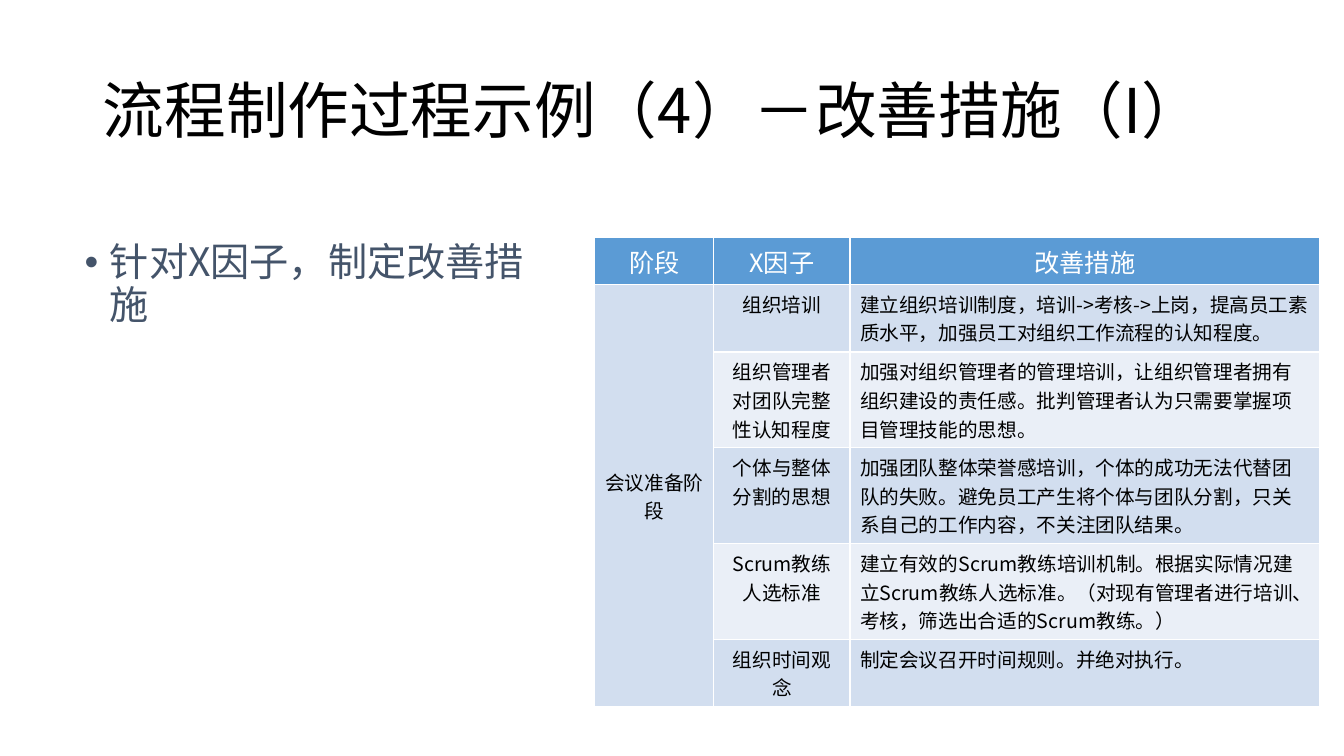
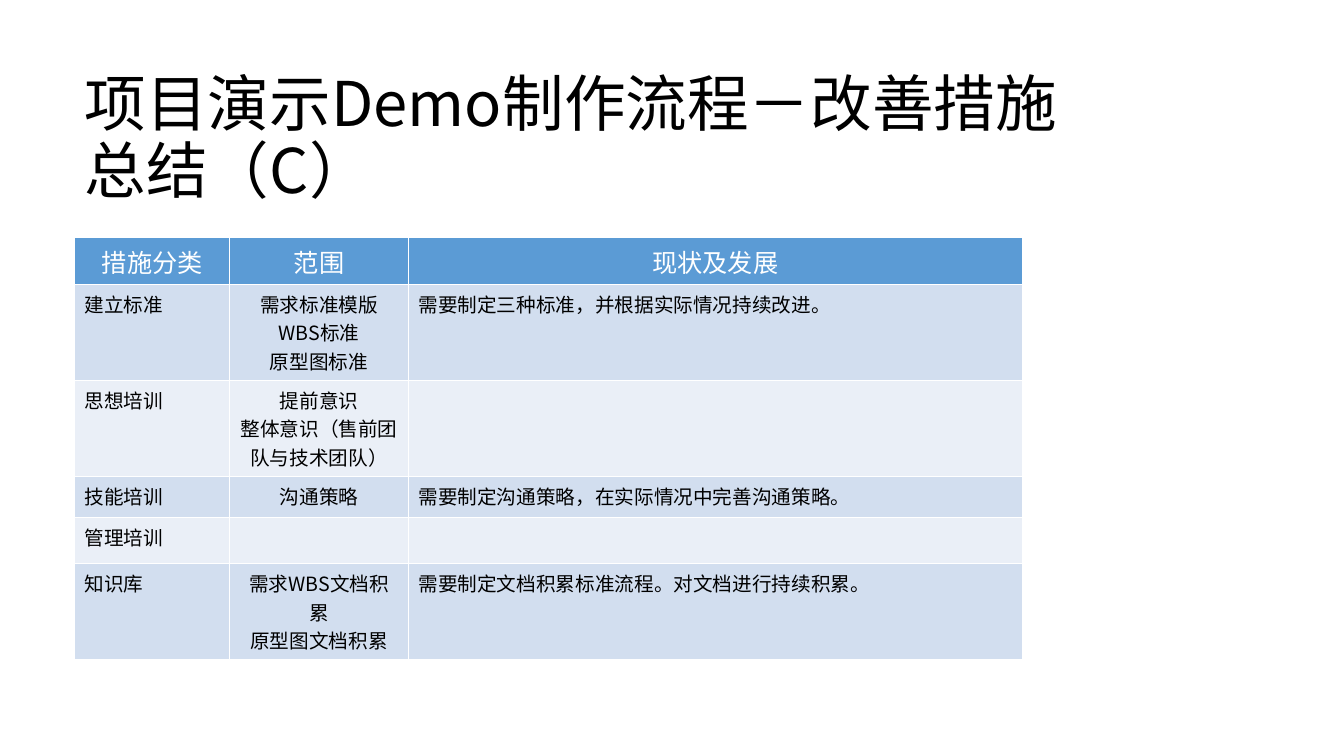
from lxml.etree import SubElement
from pptx import Presentation
from pptx.dml.color import RGBColor
from pptx.enum.text import MSO_ANCHOR, MSO_AUTO_SIZE, PP_ALIGN
from pptx.oxml.ns import qn
from pptx.util import Emu, Pt

FONT = "Noto Sans CJK SC"
BLACK, WHITE, SLATE = "000000", "FFFFFF", "44546A"
HEADER_FILL = "5B9BD5"
BAND_FILLS = ("D2DEEF", "EAEFF7")
LEFT, CENTER = PP_ALIGN.LEFT, PP_ALIGN.CENTER

MEASURES = [
    ["阶段", "X因子", "改善措施"],
    ["会议准备阶段", "组织培训",
     "建立组织培训制度，培训->考核->上岗，提高员工素质水平，加强员工对组织工作流程的认知程度。"],
    ["", "组织管理者对团队完整性认知程度",
     "加强对组织管理者的管理培训，让组织管理者拥有组织建设的责任感。批判管理者认为只需要掌握项目管理技能的思想。"],
    ["", "个体与整体分割的思想",
     "加强团队整体荣誉感培训，个体的成功无法代替团队的失败。避免员工产生将个体与团队分割，只关系自己的工作内容，不关注团队结果。"],
    ["", "Scrum教练人选标准",
     "建立有效的Scrum教练培训机制。根据实际情况建立Scrum教练人选标准。（对现有管理者进行培训、考核，筛选出合适的Scrum教练。）"],
    ["", "组织时间观念", "制定会议召开时间规则。并绝对执行。"],
]
SUMMARY = [
    ["措施分类", "范围", "现状及发展"],
    ["建立标准", "需求标准模版\nWBS标准\n原型图标准", "需要制定三种标准，并根据实际情况持续改进。"],
    ["思想培训", "提前意识\n整体意识（售前团队与技术团队）", ""],
    ["技能培训", "沟通策略", "需要制定沟通策略，在实际情况中完善沟通策略。"],
    ["管理培训", "", ""],
    ["知识库", "需求WBS文档积累\n原型图文档积累", "需要制定文档积累标准流程。对文档进行持续积累。"],
]


def px(count):
    """Convert px to EMU, at 100 px to the inch."""
    return Emu(count * 9144)


def color(hex_string):
    return RGBColor.from_string(hex_string)


def format_paragraph(paragraph, size, hex_string, alignment=LEFT):
    paragraph.alignment = alignment
    font = paragraph.font
    font.size, font.bold, font.name = Pt(size), False, FONT
    font.color.rgb = color(hex_string)
    properties = paragraph._p.pPr.find(qn("a:defRPr"))
    SubElement(properties, qn("a:ea")).set("typeface", FONT)


def fill_placeholder(shape, box, text, size, hex_string, anchor):
    shape.left, shape.top, shape.width, shape.height = map(px, box)
    frame = shape.text_frame
    frame.text = text
    frame.word_wrap = True
    frame.auto_size = MSO_AUTO_SIZE.NONE
    frame.vertical_anchor = anchor
    paragraph = frame.paragraphs[0]
    paragraph.line_spacing = 0.9
    paragraph.space_before = Pt(0)
    format_paragraph(paragraph, size, hex_string)
    return paragraph


def add_title(slide, box, text):
    fill_placeholder(slide.shapes.title, box, text, 44, BLACK, MSO_ANCHOR.MIDDLE)


def add_bullet(slide, box, text):
    paragraph = fill_placeholder(slide.placeholders[1], box, text, 28, SLATE, MSO_ANCHOR.TOP)
    paragraph._p.pPr.set("marL", str(px(25)))
    paragraph._p.pPr.set("indent", str(px(-25)))


def add_banded_table(slide, left, top, widths, heights, rows, alignments):
    """Add a table with a header row; alignments apply to the body columns."""
    table = slide.shapes.add_table(
        len(rows), len(widths), px(left), px(top), px(sum(widths)), px(sum(heights))).table
    for column, width in zip(table.columns, widths):
        column.width = px(width)
    for row, height in zip(table.rows, heights):
        row.height = px(height)
    for row_index, texts in enumerate(rows):
        is_header = row_index == 0
        fill = HEADER_FILL if is_header else BAND_FILLS[(row_index - 1) % 2]
        for column_index, text in enumerate(texts):
            cell = table.cell(row_index, column_index)
            cell.fill.solid()
            cell.fill.fore_color.rgb = color(fill)
            if not text:
                continue
            cell.text = text
            for paragraph in cell.text_frame.paragraphs:
                if is_header:
                    format_paragraph(paragraph, 18, WHITE, CENTER)
                else:
                    format_paragraph(paragraph, 14, BLACK, alignments[column_index])
    return table


def add_measures_slide(presentation):
    slide = presentation.slides.add_slide(presentation.slide_layouts[1])
    add_title(slide, (92, 40, 1150, 145), "流程制作过程示例（4）－改善措施（I）")
    add_bullet(slide, (74, 236, 490, 424), "针对X因子，制定改善措施")
    table = add_banded_table(slide, 590, 236, (118, 135, 466), (45, 67, 95, 95, 95, 67),
                             MEASURES, (CENTER, CENTER, LEFT))
    stage = table.cell(1, 0)
    stage.merge(table.cell(len(MEASURES) - 1, 0))
    stage.vertical_anchor = MSO_ANCHOR.MIDDLE


def add_summary_slide(presentation):
    slide = presentation.slides.add_slide(presentation.slide_layouts[5])
    add_title(slide, (74, 67, 1017, 144), "项目演示Demo制作流程－改善措施总结（C）")
    add_banded_table(slide, 74, 236, (154, 177, 609), (45, 95, 95, 41, 46, 95),
                     SUMMARY, (LEFT, CENTER, LEFT))


def main():
    presentation = Presentation()
    presentation.slide_width, presentation.slide_height = px(1333), px(750)
    add_measures_slide(presentation)
    add_summary_slide(presentation)
    presentation.save("out.pptx")


if __name__ == "__main__":
    main()
